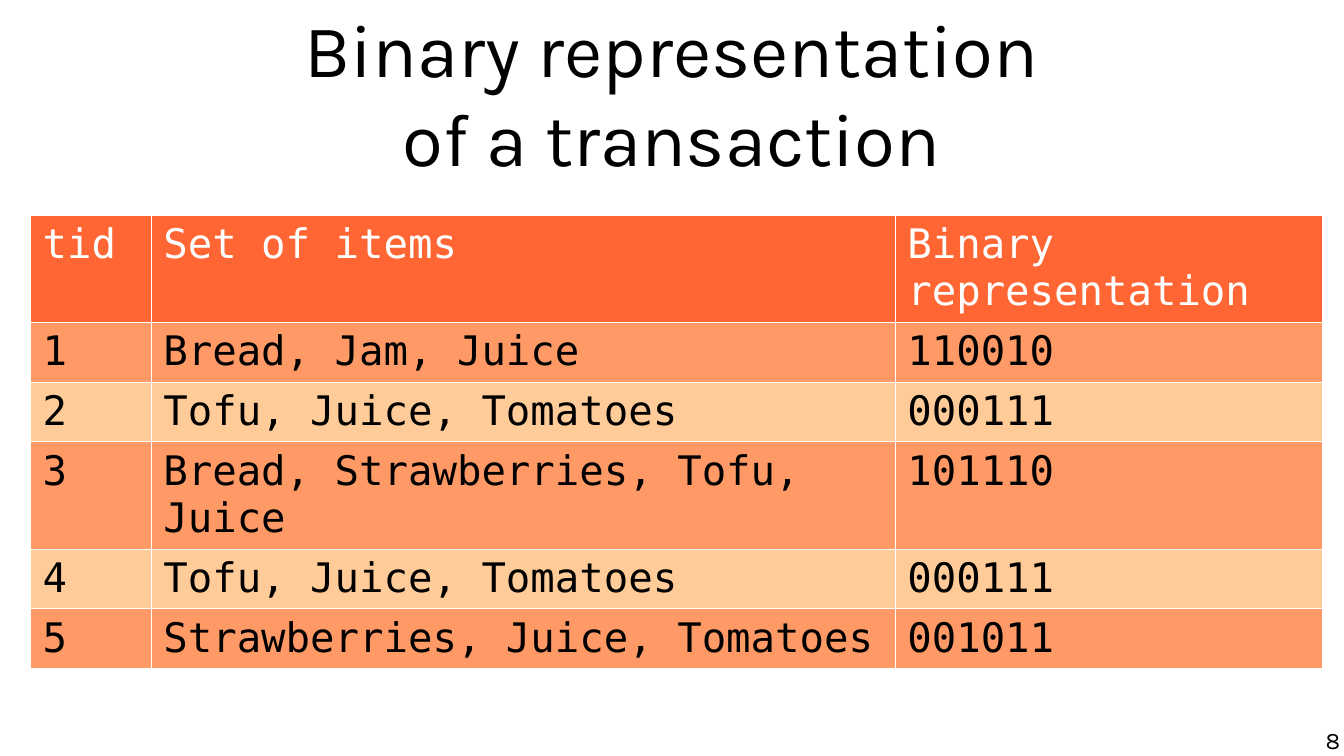
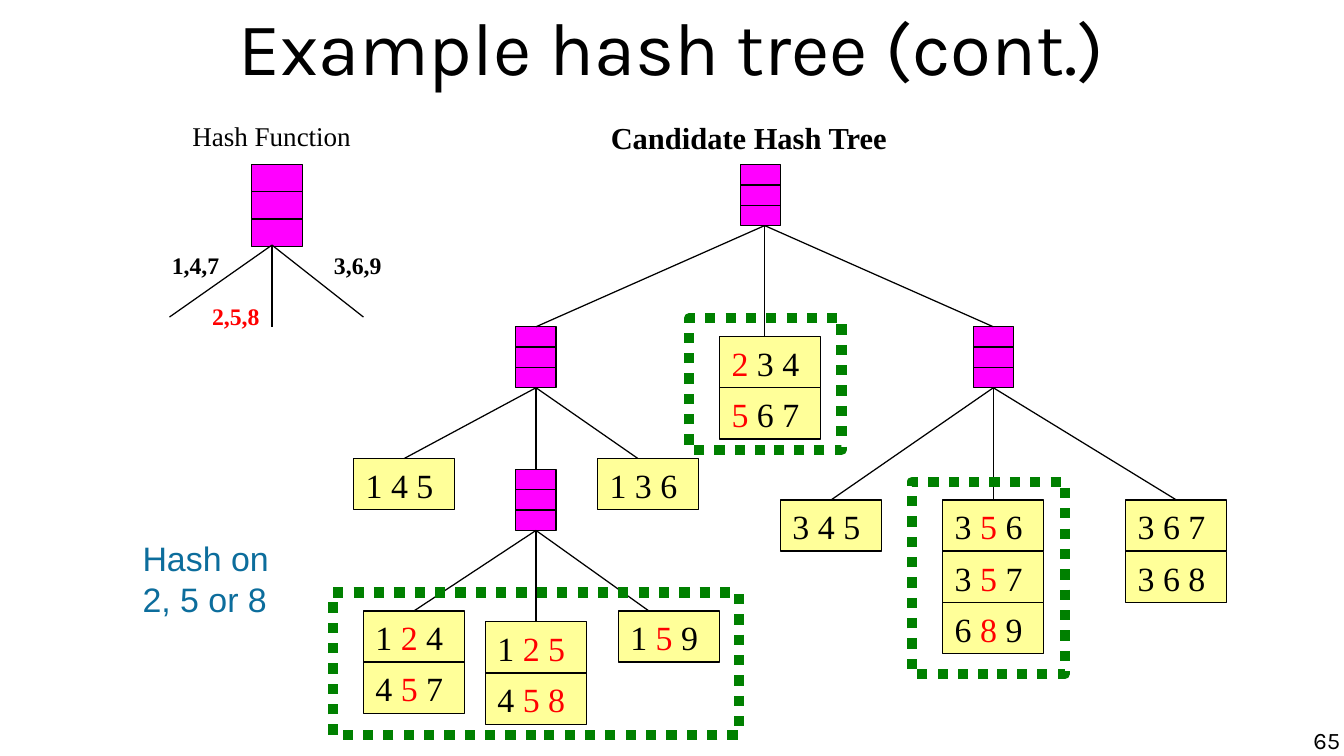
from lxml import etree
from pptx import Presentation
from pptx.dml.color import RGBColor
from pptx.enum import dml, shapes, text
from pptx.oxml import ns
from pptx.util import Inches, Pt

# Colours and fonts
BLACK = RGBColor(0x00, 0x00, 0x00)
WHITE = RGBColor(0xFF, 0xFF, 0xFF)
RED = RGBColor(0xFF, 0x00, 0x00)
BLUE = RGBColor(0x0C, 0x6D, 0x9C)
GREEN = RGBColor(0x00, 0x80, 0x00)
PINK = RGBColor(0xFF, 0x00, 0xFF)
YELLOW = RGBColor(0xFF, 0xFF, 0x99)
HEAD = RGBColor(0xFF, 0x66, 0x33)
BANDS = [RGBColor(0xFF, 0xCC, 0x99), RGBColor(0xFF, 0x99, 0x66)]
SANS, MONO, SERIF = "Karla", "DejaVu Sans Mono", "Times New Roman"
LEFT, MID, RIGHT = (text.PP_ALIGN.LEFT, text.PP_ALIGN.CENTER,
                    text.PP_ALIGN.RIGHT)
TOP = text.MSO_ANCHOR.TOP
PAD = {"margin_left": 0.1, "margin_top": 0.05,
       "margin_right": 0.1, "margin_bottom": 0.05}

# Table content
COLS = [0.99, 6.1, 3.5]
ROWS = [0.88, 0.49, 0.49, 0.88, 0.49, 0.49]
CELLS = [
    ("tid", "Set of items", "Binary representation"),
    ("1", "Bread, Jam, Juice", "110010"),
    ("2", "Tofu, Juice, Tomatoes", "000111"),
    ("3", "Bread, Strawberries, Tofu, Juice", "101110"),
    ("4", "Tofu, Juice, Tomatoes", "000111"),
    ("5", "Strawberries, Juice, Tomatoes", "001011"),
]

# Tree content: stars enclose the red digits
NODES = {"root": (6.07, 1.35), "left": (4.23, 2.68),
         "right": (7.98, 2.68), "low": (4.23, 3.85)}
LEAVES = {
    "145": (2.9, 3.76, ["1 4 5"]),
    "136": (4.9, 3.76, ["1 3 6"]),
    "234": (5.9, 2.76, ["*2* 3 4", "*5* 6 7"]),
    "345": (6.4, 4.1, ["3 4 5"]),
    "356": (7.73, 4.1, ["3 *5* 6", "3 *5* 7", "6 *8* 9"]),
    "367": (9.23, 4.1, ["3 6 7", "3 6 8"]),
    "124": (2.98, 5.01, ["1 *2* 4", "4 *5* 7"]),
    "125": (3.98, 5.1, ["1 *2 5*", "4 *5 8*"]),
    "159": (5.07, 5.01, ["1 *5* 9"]),
}
# Parent, start x, then each child with its end x
FANS = [
    ("root", 6.27, {"left": 4.4, "234": 6.27, "right": 8.15}),
    ("left", 4.38, {"145": 3.32, "low": 4.38, "136": 5.23}),
    ("right", 8.15, {"345": 6.82, "356": 8.15, "367": 9.65}),
    ("low", 4.4, {"124": 3.4, "125": 4.4, "159": 5.32}),
]
FRAMES = [(2.73, 4.86, 3.33, 1.17), (5.65, 2.61, 1.25, 1.08),
          (7.48, 3.95, 1.25, 1.58)]
LABELS = [
    ("1,4,7", (1.31, 2.01, 0.59, 0.33), 14, True, BLACK),
    ("2,5,8", (1.64, 2.43, 0.59, 0.33), 14, True, RED),
    ("3,6,9", (2.64, 2.01, 0.59, 0.33), 14, True, BLACK),
    ("Hash Function", (1.48, 0.93, 1.5, 0.37), 16, False, BLACK),
    ("Candidate Hash Tree", (4.91, 0.93, 2.46, 0.4), 18, True, BLACK),
]


def style(font, name, size, color=BLACK, bold=False):
    form = {"name": name, "size": Pt(size), "bold": bold}
    for key, val in form.items():
        setattr(font, key, val)
    font.color.rgb = color


def setup(frame, pad=True, wrap=True, anchor=TOP):
    form = {key: Inches(val if pad else 0) for key, val in PAD.items()}
    form.update(word_wrap=wrap, vertical_anchor=anchor,
                auto_size=text.MSO_AUTO_SIZE.NONE)
    for key, val in form.items():
        setattr(frame, key, val)


def label(slide, words, box, font, size, color=BLACK, bold=False,
          align=LEFT, pad=True, wrap=True):
    frame = slide.shapes.add_textbox(*map(Inches, box)).text_frame
    setup(frame, pad, wrap)
    para = frame.paragraphs[0]
    para.text, para.alignment = words, align
    style(para.runs[0].font, font, size, color, bold)


def start(deck, title, top, height, page):
    """Add a slide with its title and page number."""
    slide = deck.slides.add_slide(deck.slide_layouts[5])
    head = slide.shapes.title
    box = {"left": 0.55, "top": top, "width": 9.92, "height": height}
    for key, val in box.items():
        setattr(head, key, Inches(val))
    setup(head.text_frame, pad=False, anchor=text.MSO_ANCHOR.MIDDLE)
    para = head.text_frame.paragraphs[0]
    para.text, para.alignment = title, MID
    for run in para.runs:
        style(run.font, SANS, 44)
    label(slide, page, (8.42, 5.95, 2.57, 0.25), SANS, 14,
          align=RIGHT, pad=False)
    return slide


def rect(slide, box, fill=None, line=BLACK, width=0.75):
    shape = slide.shapes.add_shape(shapes.MSO_SHAPE.RECTANGLE,
                                   *map(Inches, box))
    shape.shadow.inherit = False
    if fill is None:
        shape.fill.background()
    else:
        shape.fill.solid()
        shape.fill.fore_color.rgb = fill
    shape.line.color.rgb = line
    shape.line.width = Pt(width)
    return shape


def line(slide, *ends):
    wire = slide.shapes.add_connector(shapes.MSO_CONNECTOR.STRAIGHT,
                                      *map(Inches, ends))
    wire.line.color.rgb = BLACK
    wire.line.width = Pt(0.75)
    etree.SubElement(wire._element.spPr, ns.qn("a:effectLst"))
    return wire


def node(slide, x, y, w=0.33, h=0.5):
    """Draw a hash node split into three equal slots."""
    shape = rect(slide, (x, y, w, h), PINK)
    for slot in (1, 2):
        level = y + h * slot / 3
        line(slide, x, level, x + w, level)
    return shape


def leaf(slide, x, y, rows):
    """Stack the item sets and return the top one."""
    stack = []
    for i, row in enumerate(rows):
        shape = rect(slide, (x, y + 0.42 * i, 0.83, 0.42), YELLOW)
        setup(shape.text_frame)
        para = shape.text_frame.paragraphs[0]
        para.alignment = LEFT
        for j, part in enumerate(row.split("*")):
            if part:
                run = para.add_run()
                run.text = part
                style(run.font, SERIF, 20, RED if j % 2 else BLACK)
        stack.append(shape)
    return stack[0]


def link(slide, top, x1, foot, x2):
    """Draw a branch, joined wherever it meets the middle of a side."""
    wire = line(slide, x1, (top.top + top.height).inches
                if hasattr(top.top + top.height, "inches")
                else (top.top + top.height) / Inches(1),
                x2, foot.top.inches)
    for shape, x, join, side in ((top, x1, wire.begin_connect, 2),
                                 (foot, x2, wire.end_connect, 0)):
        if abs(shape.left + shape.width / 2 - Inches(x)) < Inches(0.02):
            join(shape, side)


def edge(cell):
    """Give a cell thin white borders."""
    props = cell._tc.get_or_add_tcPr()
    for side in "LRTB":
        ln = etree.SubElement(props, ns.qn("a:ln" + side), w="762")
        fill = etree.SubElement(ln, ns.qn("a:solidFill"))
        etree.SubElement(fill, ns.qn("a:srgbClr"), val=str(WHITE))


def grid(slide):
    box = (0.25, 1.76, sum(COLS), sum(ROWS))
    table = slide.shapes.add_table(len(ROWS), len(COLS),
                                   *map(Inches, box)).table
    table.first_row = table.horz_banding = False
    for col, width in zip(table.columns, COLS):
        col.width = Inches(width)
    for i, (row, height) in enumerate(zip(table.rows, ROWS)):
        row.height = Inches(height)
        for cell, words in zip(row.cells, CELLS[i]):
            edge(cell)
            cell.fill.solid()
            cell.fill.fore_color.rgb = BANDS[i % 2] if i else HEAD
            cell.text = words
            style(cell.text_frame.paragraphs[0].runs[0].font, MONO, 24,
                  BLACK if i else WHITE)


def tree(slide):
    parts = {key: node(slide, *at) for key, at in NODES.items()}
    parts.update({key: leaf(slide, *at) for key, at in LEAVES.items()})
    for top, x, kids in FANS:
        for kid, end in kids.items():
            link(slide, parts[top], x, parts[kid], end)
    for box in FRAMES:
        frame = rect(slide, box, line=GREEN, width=6)
        frame.line.dash_style = dml.MSO_LINE.ROUND_DOT


def key(slide):
    """Draw the hash function beside the tree, with all labels."""
    node(slide, 2.06, 1.35, 0.42, 0.67)
    for x, y in ((1.39, 2.6), (2.23, 2.68), (2.98, 2.6)):
        line(slide, 2.23, 2.01, x, y)
    for words, box, size, bold, color in LABELS:
        label(slide, words, box, SERIF, size, color, bold, wrap=False)
    label(slide, "Hash on 2, 5 or 8", (1.07, 4.36, 1.25, 0.77),
          "Arial", 20, BLUE)


def main():
    deck = Presentation()
    deck.slide_width, deck.slide_height = Inches(11.02), Inches(6.2)
    grid(start(deck, "Binary representation\vof a transaction",
               -0.08, 1.67, "8"))
    slide = start(deck, "Example hash tree (cont.)", -0.04, 0.83, "65")
    tree(slide)
    key(slide)
    deck.save("out.pptx")


if __name__ == "__main__":
    main()
